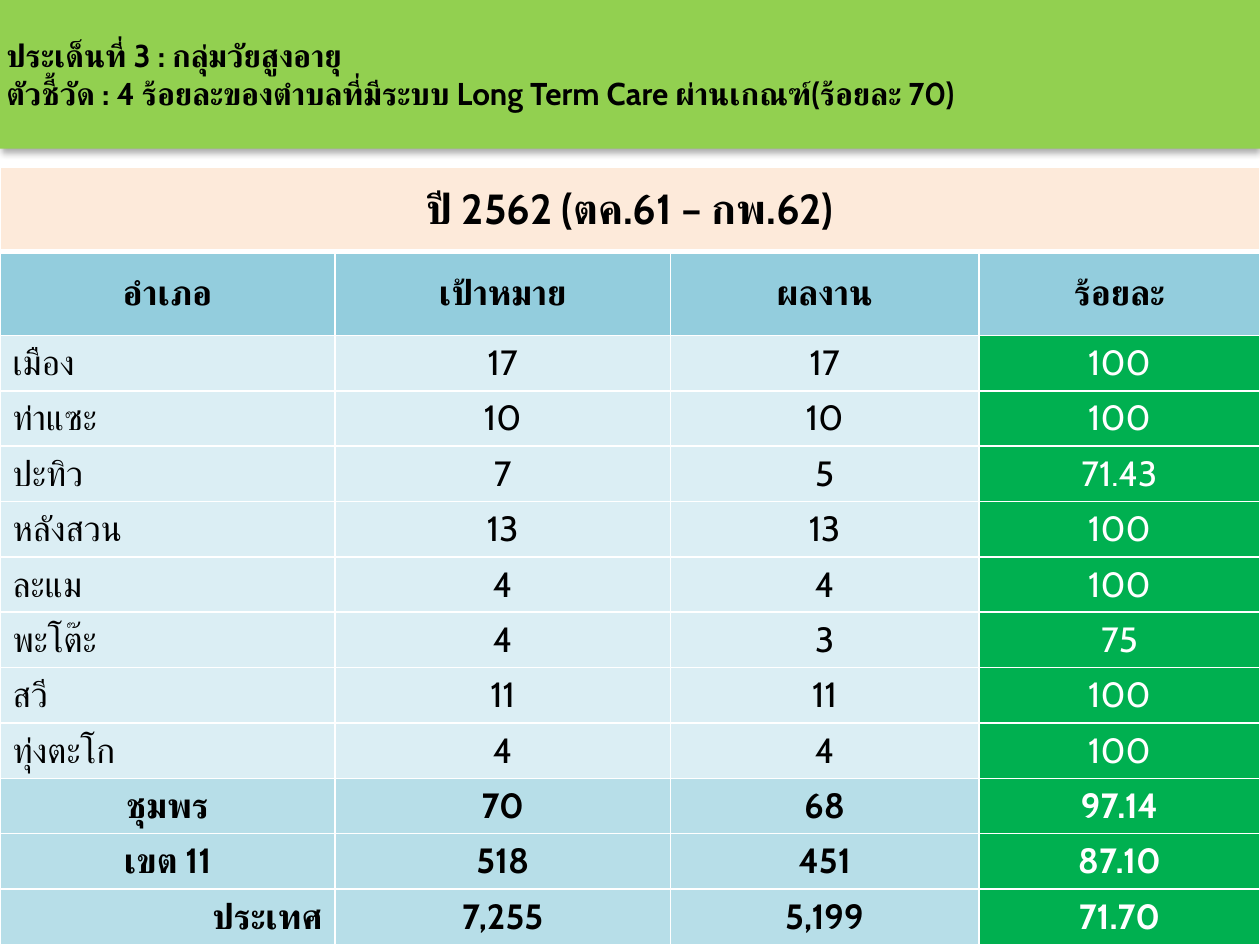
from lxml import etree
from pptx import Presentation
from pptx.dml.color import RGBColor
from pptx.enum.shapes import MSO_SHAPE
from pptx.enum.text import MSO_ANCHOR, PP_ALIGN
from pptx.oxml.ns import qn
from pptx.util import Inches, Pt

RECTANGLE = MSO_SHAPE.RECTANGLE
MIDDLE = MSO_ANCHOR.MIDDLE
LEFT, CENTER, RIGHT = PP_ALIGN.LEFT, PP_ALIGN.CENTER, PP_ALIGN.RIGHT

PAGE_WIDTH, PAGE_HEIGHT = 10, 7.5
FONT = "Cabin"
COLORS = {
    "banner": "92D050",
    "year": "FDEADA",
    "heading": "93CDDD",
    "district": "DBEEF4",
    "total": "B7DEE8",
    "passed": "00B050",
    "dark": "000000",
    "light": "FFFFFF",
}
BANNER_LINES = [
    "ประเด็นที่ 3 : กลุ่มวัยสูงอายุ",
    "ตัวชี้วัด : 4 ร้อยละของตำบลที่มีระบบ Long Term Care ผ่านเกณฑ์(ร้อยละ 70)",
]
YEAR = "ปี 2562 (ตค.61 – กพ.62)"
HEADINGS = ["อำเภอ", "เป้าหมาย", "ผลงาน", "ร้อยละ"]
DISTRICTS = [
    ["เมือง", "17", "17", "100"],
    ["ท่าแซะ", "10", "10", "100"],
    ["ปะทิว", "7", "5", "71.43"],
    ["หลังสวน", "13", "13", "100"],
    ["ละแม", "4", "4", "100"],
    ["พะโต๊ะ", "4", "3", "75"],
    ["สวี", "11", "11", "100"],
    ["ทุ่งตะโก", "4", "4", "100"],
]
TOTALS = [
    ["ชุมพร", "70", "68", "97.14"],
    ["เขต 11", "518", "451", "87.10"],
    ["ประเทศ", "7,255", "5,199", "71.70"],
]
COLUMN_SHARES = [0.266, 0.266, 0.245, 0.223]
TALL_ROWS, TALL_SHARE = 2, 0.108


def color(name):
    """Return the named colour."""
    return RGBColor.from_string(COLORS[name])


def add_span(para, text, size, bold, ink="dark"):
    """Add one formatted run to a paragraph."""
    span = para.add_run()
    span.text = text
    span.font.size = Pt(size)
    span.font.bold = bold
    span.font.name = FONT
    span.font.color.rgb = color(ink)
    script_font = etree.SubElement(span.font._element, qn("a:cs"))
    script_font.set("typeface", FONT)


def add_shadow(shape):
    """Give a shape a soft shadow below it."""
    shape.shadow.inherit = False
    effects = shape._element.spPr.find(qn("a:effectLst"))
    shadow = etree.SubElement(
        effects, qn("a:outerShdw"), blurRad=str(Pt(4)), dist=str(Pt(2.2)),
        dir="5400000", algn="ctr", rotWithShape="0")
    tint = etree.SubElement(shadow, qn("a:srgbClr"), val=COLORS["dark"])
    etree.SubElement(tint, qn("a:alpha"), val="32000")


def add_banner(page, left, top, width, height):
    """Place the green title band and its two lines of text."""
    band = page.shapes.add_shape(
        RECTANGLE, Inches(left), Inches(top), Inches(width), Inches(height))
    band.fill.solid()
    band.fill.fore_color.rgb = color("banner")
    band.line.fill.background()
    add_shadow(band)

    box = page.shapes.add_textbox(
        Inches(left), Inches(top + height * 0.2), Inches(width), Inches(height * 0.6))
    frame = box.text_frame
    frame.word_wrap = True
    frame.vertical_anchor = MIDDLE
    frame.margin_left = frame.margin_right = Inches(0.05)
    frame.margin_top = frame.margin_bottom = Inches(0.05)
    for index, line in enumerate(BANNER_LINES):
        para = frame.add_paragraph() if index else frame.paragraphs[0]
        add_span(para, line, 18, True)


def add_border(cell, side, weight):
    """Draw one white cell border."""
    border = etree.SubElement(
        cell._tc.get_or_add_tcPr(), qn("a:ln" + side), w=str(Pt(weight)))
    fill = etree.SubElement(border, qn("a:solidFill"))
    etree.SubElement(fill, qn("a:srgbClr"), val=COLORS["light"])


def fill_cell(cell, text, fill, size=20, bold=True, align=CENTER, ink="dark", heavy=""):
    """Format a cell, with thick borders on the heavy side."""
    for side in "LRTB":
        add_border(cell, side, 3 if side == heavy else 1)
    cell.fill.solid()
    cell.fill.fore_color.rgb = color(fill)
    cell.vertical_anchor = MIDDLE
    if text:
        para = cell.text_frame.paragraphs[0]
        para.alignment = align
        add_span(para, text, size, bold, ink)


def add_results(page, left, top, width, height):
    """Place the results table with its year, headings, districts and totals."""
    records = DISTRICTS + TOTALS
    row_count = TALL_ROWS + len(records)
    table = page.shapes.add_table(
        row_count, len(HEADINGS), Inches(left), Inches(top),
        Inches(width), Inches(height)).table
    table.first_row = table.horz_banding = False
    for column, share in zip(table.columns, COLUMN_SHARES):
        column.width = Inches(width * share)
    short_share = (1 - TALL_ROWS * TALL_SHARE) / len(records)
    for index, row in enumerate(table.rows):
        row.height = Inches(height * (TALL_SHARE if index < TALL_ROWS else short_share))

    table.cell(0, 0).merge(table.cell(0, len(HEADINGS) - 1))
    for column, heading in enumerate(HEADINGS):
        fill_cell(table.cell(0, column), "" if column else YEAR, "year", 24, heavy="B")
        fill_cell(table.cell(1, column), heading, "heading", heavy="T")

    for row, record in enumerate(records, TALL_ROWS):
        is_total = record in TOTALS
        name_align = CENTER if is_total else LEFT
        if record is TOTALS[-1]:
            name_align = RIGHT
        for column, text in enumerate(record):
            is_rate = column == len(HEADINGS) - 1
            base = "total" if is_total else "district"
            fill_cell(
                table.cell(row, column), text, "passed" if is_rate else base,
                bold=is_total, align=CENTER if column else name_align,
                ink="light" if is_rate else "dark")


def main():
    """Build and save the deck."""
    deck = Presentation()
    deck.slide_width, deck.slide_height = Inches(PAGE_WIDTH), Inches(PAGE_HEIGHT)
    page = deck.slides.add_slide(deck.slide_layouts[6])
    add_banner(page, 0, 0, PAGE_WIDTH, 1.18)
    table_top = 1.33
    add_results(page, 0, table_top, PAGE_WIDTH, PAGE_HEIGHT - table_top)
    deck.save("out.pptx")


if __name__ == "__main__":
    main()
